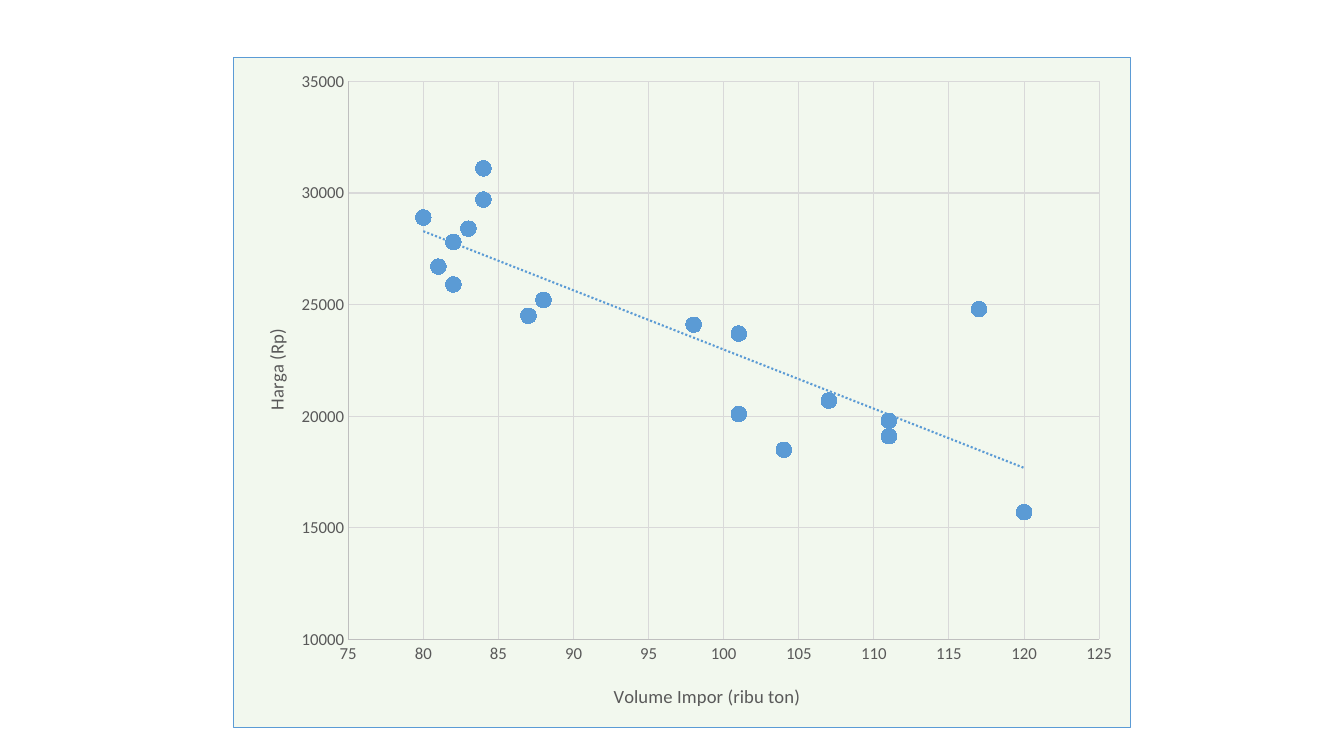
from dataclasses import dataclass

from lxml.etree import _Element as Element
from pptx import Presentation
from pptx.chart.axis import ValueAxis
from pptx.chart.chart import Chart
from pptx.chart.data import XyChartData
from pptx.dml.color import RGBColor
from pptx.enum.chart import XL_CHART_TYPE as ChartType
from pptx.enum.chart import XL_MARKER_STYLE as MarkerStyle
from pptx.enum.chart import XL_TICK_LABEL_POSITION as LabelPosition
from pptx.enum.chart import XL_TICK_MARK as TickMark
from pptx.oxml import parse_xml
from pptx.oxml.ns import nsdecls
from pptx.util import Inches, Pt


@dataclass(frozen=True)
class Theme:
    font: str = "Calibri"
    text: str = "595959"
    axis_line: str = "BFBFBF"
    grid: str = "D9D9D9"
    accent: str = "5B9BD5"
    panel: str = "F2F8EE"
    label_size: float = 12
    title_size: float = 13.3
    hairline: float = 0.75
    trend_width: float = 1.5
    marker_size: int = 11


@dataclass(frozen=True)
class AxisPlan:
    title: str
    low: float
    high: float
    step: float
    title_left: float
    title_top: float
    rotation: int


@dataclass(frozen=True)
class Observation:
    volume: int
    price: int


THEME = Theme()
VOLUME_AXIS = AxisPlan("Volume Impor (ribu ton)", 75, 125, 5, 0.42, 0.93, 0)
PRICE_AXIS = AxisPlan("Harga (Rp)", 10000, 35000, 5000, 0.03, 0.4, -5400000)
VOLUMES = (81, 82, 84, 84, 101, 111, 101, 98, 80, 120, 107, 104, 88, 83, 87, 82, 111, 117)
PRICES = (26700, 25900, 31100, 29700, 20100, 19100, 23700, 24100, 28900,
          15700, 20700, 18500, 25200, 28400, 24500, 27800, 19800, 24800)
OBSERVATIONS = [Observation(volume, price) for volume, price in zip(VOLUMES, PRICES)]


def colour(code: str) -> RGBColor:
    return RGBColor.from_string(code)


def line_xml(code: str, width: float, dash: str = "solid") -> str:
    return (f'<a:ln w="{Pt(width)}"><a:solidFill><a:srgbClr val="{code}"/></a:solidFill>'
            f'<a:prstDash val="{dash}"/></a:ln>')


def place(parent: Element, index: int, **parts: float) -> None:
    for old in parent.xpath("c:layout"):
        parent.remove(old)
    target = '<c:layoutTarget val="inner"/>' if "w" in parts else ""
    modes = "".join(f'<c:{name}Mode val="edge"/>' for name in parts if name in "xy")
    values = "".join(f'<c:{name} val="{value}"/>' for name, value in parts.items())
    parent.insert(index, parse_xml(
        f'<c:layout {nsdecls("c")}><c:manualLayout>{target}{modes}{values}'
        "</c:manualLayout></c:layout>"))


def style_axis(axis: ValueAxis, plan: AxisPlan) -> None:
    axis.minimum_scale, axis.maximum_scale = plan.low, plan.high
    axis.major_unit = plan.step
    axis.major_tick_mark = axis.minor_tick_mark = TickMark.NONE
    axis.tick_label_position = LabelPosition.NEXT_TO_AXIS
    axis.has_major_gridlines = True
    for line, code in ((axis.format.line, THEME.axis_line),
                       (axis.major_gridlines.format.line, THEME.grid)):
        line.color.rgb = colour(code)
        line.width = Pt(THEME.hairline)
    labels = axis.tick_labels
    labels.number_format, labels.number_format_is_linked = "General", False
    labels.font.size = Pt(THEME.label_size)
    labels.font.color.rgb = colour(THEME.text)
    span = axis.axis_title.text_frame.paragraphs[0].add_run()
    span.text = plan.title
    span.font.size = Pt(THEME.title_size)
    span.font.bold = False
    span.font.name = THEME.font
    span.font.color.rgb = colour(THEME.text)


def style_series(chart: Chart) -> None:
    series = chart.plots[0].series[0]
    series.format.line.fill.background()
    marker = series.marker
    marker.style, marker.size = MarkerStyle.CIRCLE, THEME.marker_size
    marker.format.fill.solid()
    marker.format.fill.fore_color.rgb = colour(THEME.accent)
    marker.format.line.color.rgb = colour(THEME.accent)
    trend = parse_xml(
        f'<c:trendline {nsdecls("c", "a")}><c:spPr>'
        f'{line_xml(THEME.accent, THEME.trend_width, "sysDot")}</c:spPr>'
        '<c:trendlineType val="linear"/><c:dispRSqr val="0"/><c:dispEq val="0"/>'
        "</c:trendline>")
    chart.element.xpath("//c:ser/c:xVal")[0].addprevious(trend)


def style_panel(chart: Chart) -> None:
    panel = parse_xml(
        f'<c:spPr {nsdecls("c", "a")}><a:solidFill><a:srgbClr val="{THEME.panel}"/>'
        f"</a:solidFill>{line_xml(THEME.accent, THEME.hairline)}</c:spPr>")
    chart.element.xpath("c:chart")[0].addnext(panel)
    place(chart.element.xpath("//c:plotArea")[0], 0, x=0.128, y=0.035, w=0.837, h=0.834)
    titles = chart.element.xpath("//c:valAx/c:title")
    for title, plan in zip(titles, (VOLUME_AXIS, PRICE_AXIS)):
        place(title, 1, x=plan.title_left, y=plan.title_top)
        body = title.xpath(".//a:bodyPr")[0]
        body.set("rot", str(plan.rotation))
        body.set("vert", "horz")


def main() -> None:
    deck = Presentation()
    deck.slide_width, deck.slide_height = Inches(13.33), Inches(7.5)
    page = deck.slides.add_slide(deck.slide_layouts[6])
    data = XyChartData()
    points = data.add_series("Series 1")
    for item in OBSERVATIONS:
        points.add_data_point(item.volume, item.price)
    chart = page.shapes.add_chart(
        ChartType.XY_SCATTER, Inches(2.31), Inches(0.57), Inches(8.91), Inches(6.65), data
    ).chart
    chart.has_title = chart.has_legend = False
    chart.font.name, chart.font.size = THEME.font, Pt(THEME.label_size)
    chart.plots[0].vary_by_categories = False
    style_axis(chart.category_axis, VOLUME_AXIS)
    style_axis(chart.value_axis, PRICE_AXIS)
    style_series(chart)
    style_panel(chart)
    deck.save("out.pptx")


if __name__ == "__main__":
    main()
